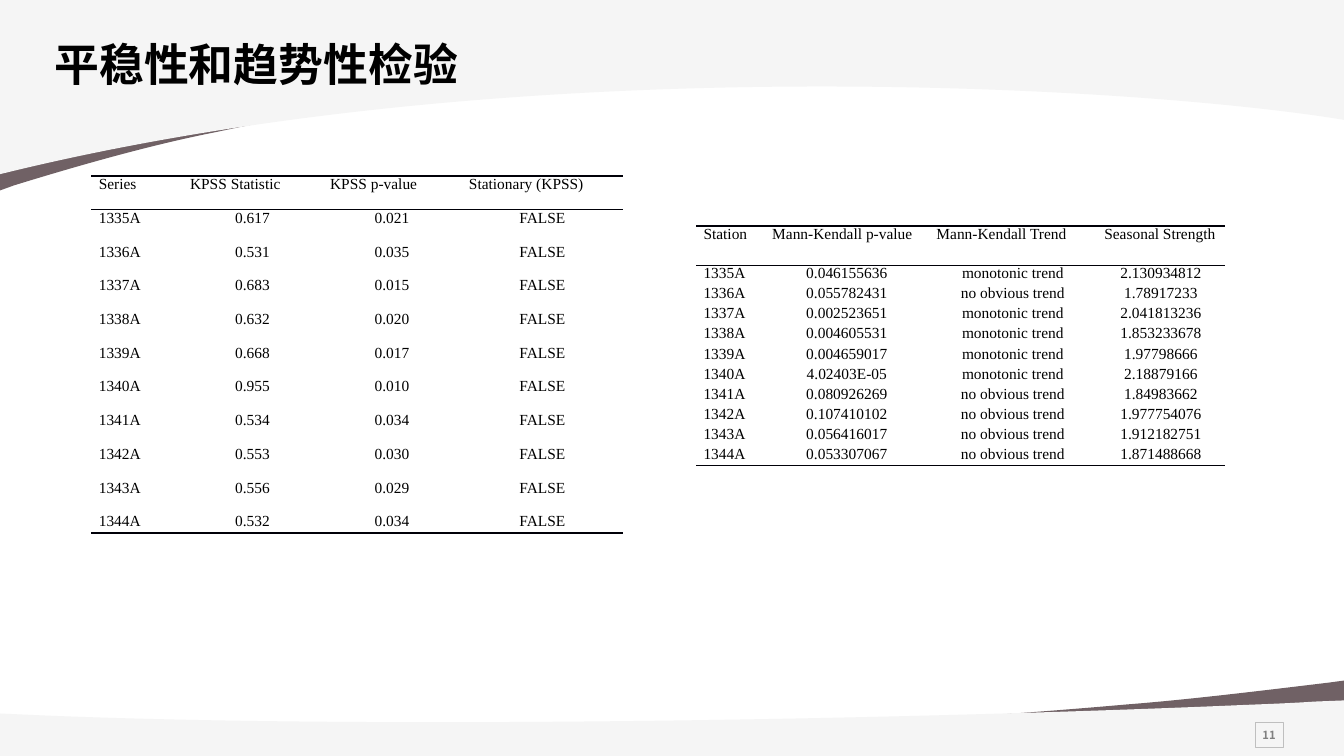
from lxml.etree import SubElement
from pptx import Presentation
from pptx.dml.color import RGBColor
from pptx.enum.shapes import MSO_SHAPE
from pptx.enum.text import MSO_ANCHOR, MSO_AUTO_SIZE, PP_ALIGN
from pptx.oxml.ns import qn
from pptx.util import Cm, Pt

BLACK = RGBColor(0x00, 0x00, 0x00)
RULE = RGBColor(0x00, 0x00, 0x08)
PLUM = RGBColor(0x34, 0x1F, 0x24)
PALE_GRAY = RGBColor(0xF5, 0xF5, 0xF5)
FRAME_GRAY = RGBColor(0xBF, 0xBF, 0xBF)
NUMBER_GRAY = RGBColor(0x80, 0x80, 0x80)

WIDTH, HEIGHT = 33.87, 19.05
CJK_FONT = "Noto Sans CJK SC"
THICK, THIN = 1.5, 0.75

# Outlines in cm: each step lists one corner, or the three points of a Bezier curve.
TOP_ACCENT = [
    [(0, 4.8)], [(0, 0.56)], [(WIDTH, 0.56)], [(WIDTH, 2.31)],
    [(26.21, 0.15), (13.06, 1.7), (5.44, 3.33)],
    [(3.91, 3.63), (2.18, 4.11), (0.36, 4.67)],
]
TOP_BAND = [
    [(0, 0)], [(WIDTH, 0)], [(WIDTH, 3.02)],
    [(28.96, 2.21), (13.13, 1.14), (0, 4.39)],
]
BOTTOM_ACCENT = [
    [(WIDTH, 17.15)], [(WIDTH, 18.9)], [(0, 18.9)], [(0, 18.16)],
    [(7.65, 19.05), (20.83, 18.42), (28.42, 17.75)],
    [(29.95, 17.63), (31.67, 17.42), (33.5, 17.2)],
]
BOTTOM_BAND = [
    [(WIDTH, 17.65)], [(WIDTH, HEIGHT)], [(0, HEIGHT)], [(0, 17.98)], [(1.12, 18.03)],
    [(9.96, 18.39), (23.11, 18.11), (30.99, 17.78)],
    [(31.65, 17.75), (32.39, 17.73), (33.12, 17.68)],
]

KPSS_ROWS = [
    ("Series", "KPSS Statistic", "KPSS p-value", "Stationary (KPSS)"),
    ("1335A", "0.617", "0.021", "FALSE"),
    ("1336A", "0.531", "0.035", "FALSE"),
    ("1337A", "0.683", "0.015", "FALSE"),
    ("1338A", "0.632", "0.020", "FALSE"),
    ("1339A", "0.668", "0.017", "FALSE"),
    ("1340A", "0.955", "0.010", "FALSE"),
    ("1341A", "0.534", "0.034", "FALSE"),
    ("1342A", "0.553", "0.030", "FALSE"),
    ("1343A", "0.556", "0.029", "FALSE"),
    ("1344A", "0.532", "0.034", "FALSE"),
]
TREND_ROWS = [
    ("Station", "Mann-Kendall p-value", "Mann-Kendall Trend", "Seasonal Strength"),
    ("1335A", "0.046155636", "monotonic trend", "2.130934812"),
    ("1336A", "0.055782431", "no obvious trend", "1.78917233"),
    ("1337A", "0.002523651", "monotonic trend", "2.041813236"),
    ("1338A", "0.004605531", "monotonic trend", "1.853233678"),
    ("1339A", "0.004659017", "monotonic trend", "1.97798666"),
    ("1340A", "4.02403E-05", "monotonic trend", "2.18879166"),
    ("1341A", "0.080926269", "no obvious trend", "1.84983662"),
    ("1342A", "0.107410102", "no obvious trend", "1.977754076"),
    ("1343A", "0.056416017", "no obvious trend", "1.912182751"),
    ("1344A", "0.053307067", "no obvious trend", "1.871488668"),
]


def bend_segments(shape, outline):
    """Turn the straight segments of a freeform into the curves of its outline."""
    segments = list(shape._element.iter(qn("a:lnTo")))
    for segment, points in zip(segments, outline[1:]):
        if len(points) == 3:
            curve = segment.makeelement(qn("a:cubicBezTo"))
            for x, y in points:
                SubElement(curve, qn("a:pt"),
                           x=str(Cm(x) - shape.left), y=str(Cm(y) - shape.top))
            segment.getparent().replace(segment, curve)


def add_wave(slide, outline, color, opacity=None):
    corners = [(Cm(points[-1][0]), Cm(points[-1][1])) for points in outline]
    builder = slide.shapes.build_freeform(*corners[0])
    builder.add_line_segments(corners[1:], close=True)
    shape = builder.convert_to_shape()
    bend_segments(shape, outline)
    shape.shadow.inherit = False
    shape.line.fill.background()
    shape.fill.solid()
    shape.fill.fore_color.rgb = color
    if opacity:
        color_element = shape._element.spPr.find(qn("a:solidFill"))[0]
        SubElement(color_element, qn("a:alpha"), val=str(opacity * 1000))


def add_run(paragraph, text, font_name, size, color, bold=False):
    run = paragraph.add_run()
    run.text = text
    font = run.font
    font.name, font.size, font.bold = font_name, Pt(size), bold
    font.color.rgb = color
    return run


def place_title(slide, text, left, top, width, height):
    title = slide.shapes.title
    title.left, title.top, title.width, title.height = map(Cm, (left, top, width, height))
    # Bring the title in front of the waves.
    title._element.getparent().append(title._element)
    frame = title.text_frame
    frame.auto_size = MSO_AUTO_SIZE.NONE
    frame.vertical_anchor = MSO_ANCHOR.MIDDLE
    paragraph = frame.paragraphs[0]
    paragraph.alignment = PP_ALIGN.LEFT
    run = add_run(paragraph, text, "Calibri", 32, BLACK, bold=True)
    SubElement(run._r.get_or_add_rPr(), qn("a:ea"), typeface=CJK_FONT)


def add_page_number(slide, text, left, top, width, height):
    box = slide.shapes.add_shape(
        MSO_SHAPE.RECTANGLE, *map(Cm, (left, top, width, height)))
    box.shadow.inherit = False
    box.fill.background()
    box.line.color.rgb = FRAME_GRAY
    box.line.width = Pt(0.75)
    frame = box.text_frame
    frame.word_wrap = False
    frame.vertical_anchor = MSO_ANCHOR.MIDDLE
    frame.margin_left = frame.margin_right = Cm(0.2)
    frame.margin_top = frame.margin_bottom = Cm(0.2)
    paragraph = frame.paragraphs[0]
    paragraph.alignment = PP_ALIGN.CENTER
    add_run(paragraph, text, CJK_FONT, 8, NUMBER_GRAY, bold=True)


def set_borders(cell, top, bottom):
    """Draw the given rules (points, or None) and clear the other sides."""
    properties = cell._tc.get_or_add_tcPr()
    for side, width in (("L", None), ("R", None), ("T", top), ("B", bottom)):
        line = SubElement(properties, qn(f"a:ln{side}"))
        if width:
            line.set("w", str(Pt(width)))
            fill = SubElement(line, qn("a:solidFill"))
            SubElement(fill, qn("a:srgbClr"), val=str(RULE))
        else:
            SubElement(line, qn("a:noFill"))


def add_ruled_table(slide, rows, left, top, column_widths, row_heights):
    """Add a table with rules above and below the header and at the foot."""
    table = slide.shapes.add_table(
        len(rows), len(column_widths), Cm(left), Cm(top),
        Cm(sum(column_widths)), Cm(sum(row_heights))).table
    table.first_row = table.horz_banding = False
    for column, width in zip(table.columns, column_widths):
        column.width = Cm(width)
    rules = [THICK, THIN] + [None] * (len(rows) - 2) + [THICK]
    for row_index, values in enumerate(rows):
        table.rows[row_index].height = Cm(row_heights[row_index])
        for column_index, value in enumerate(values):
            cell = table.cell(row_index, column_index)
            set_borders(cell, rules[row_index], rules[row_index + 1])
            cell.fill.background()
            cell.margin_left = cell.margin_right = Cm(0.19)
            cell.margin_top = cell.margin_bottom = 0
            paragraph = cell.text_frame.paragraphs[0]
            is_label = row_index == 0 or column_index == 0
            paragraph.alignment = PP_ALIGN.JUSTIFY if is_label else PP_ALIGN.CENTER
            add_run(paragraph, value, "Times New Roman", 11, BLACK)


def main():
    presentation = Presentation()
    presentation.slide_width, presentation.slide_height = Cm(WIDTH), Cm(HEIGHT)
    slide = presentation.slides.add_slide(presentation.slide_layouts[5])
    add_wave(slide, TOP_ACCENT, PLUM, opacity=70)
    add_wave(slide, TOP_BAND, PALE_GRAY)
    add_wave(slide, BOTTOM_ACCENT, PLUM, opacity=70)
    add_wave(slide, BOTTOM_BAND, PALE_GRAY)
    add_page_number(slide, "11", 31.63, 18.2, 0.71, 0.64)
    place_title(slide, "平稳性和趋势性检验", 1.12, 0.8, 16.94, 1.63)
    add_ruled_table(slide, KPSS_ROWS, 2.3, 4.43,
                    (2.3, 3.53, 3.5, 4.08), [0.85] * 10 + [0.51])
    trend_row_height = (6.04 - 0.99) / 10
    add_ruled_table(slide, TREND_ROWS, 17.54, 5.69,
                    (1.73, 4.14, 4.23, 3.23), [0.99] + [trend_row_height] * 10)
    presentation.save("out.pptx")


if __name__ == "__main__":
    main()
